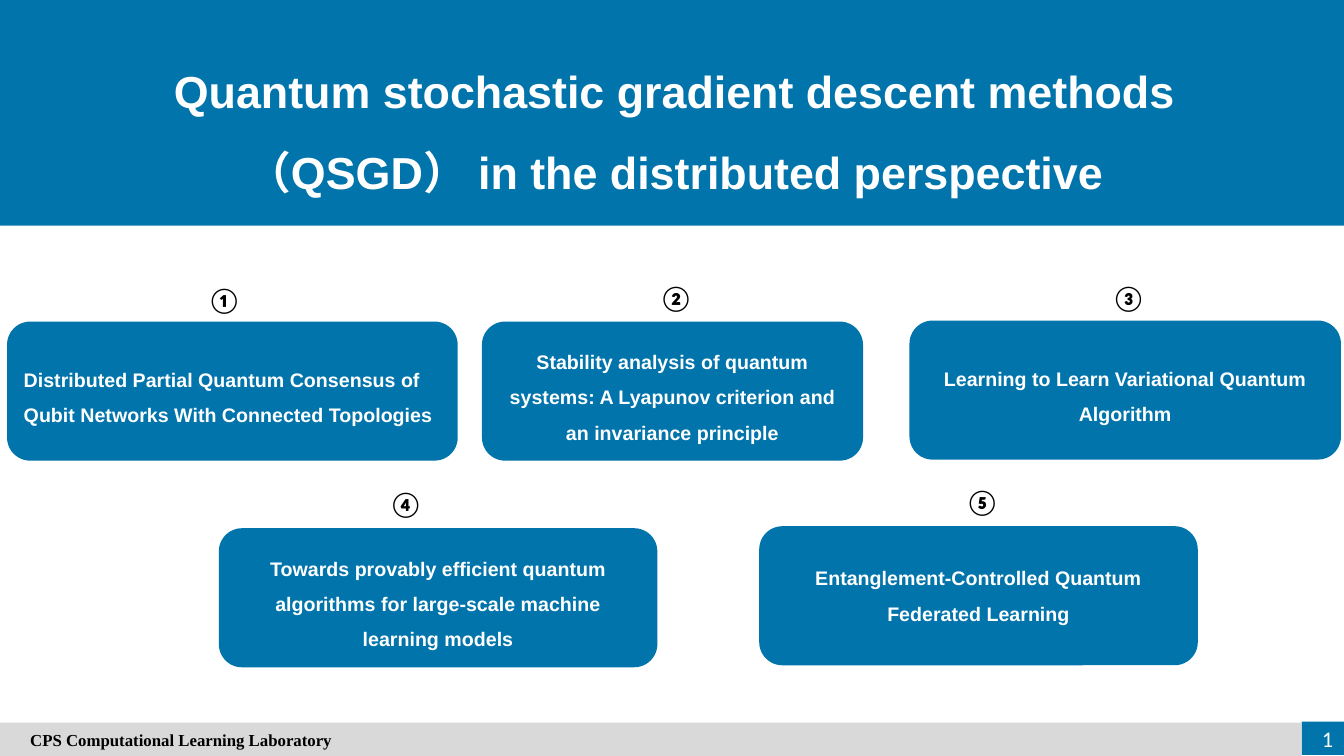
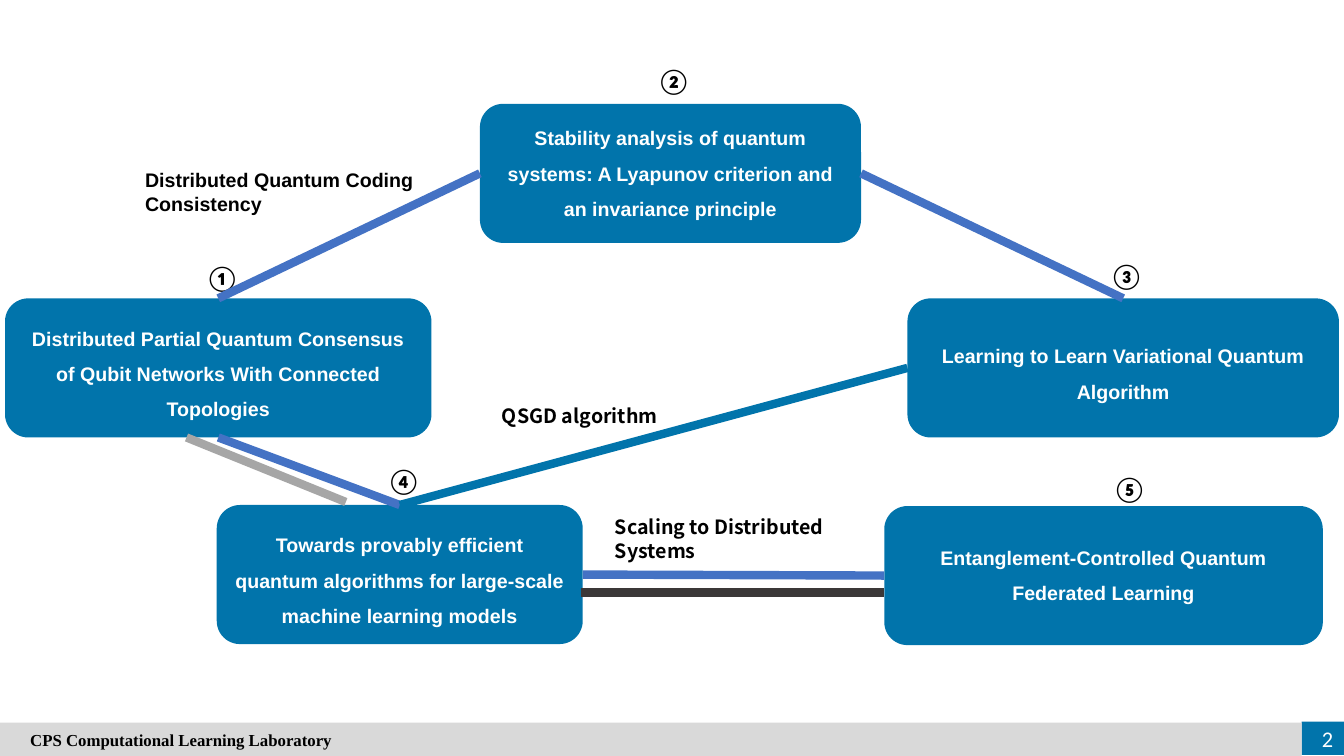
from dataclasses import dataclass

from lxml import etree
from pptx import Presentation
from pptx.dml.color import RGBColor
from pptx.enum.shapes import MSO_CONNECTOR, MSO_SHAPE
from pptx.enum.text import MSO_ANCHOR, PP_ALIGN
from pptx.oxml.ns import qn
from pptx.util import Inches, Pt

RECT, ROUNDED = MSO_SHAPE.RECTANGLE, MSO_SHAPE.ROUNDED_RECTANGLE
STRAIGHT = MSO_CONNECTOR.STRAIGHT
LEFT, CENTER, RIGHT = PP_ALIGN.LEFT, PP_ALIGN.CENTER, PP_ALIGN.RIGHT
TOP, MIDDLE = MSO_ANCHOR.TOP, MSO_ANCHOR.MIDDLE
SITE_TOP, SITE_LEFT, SITE_BOTTOM, SITE_RIGHT = range(4)


@dataclass(frozen=True)
class Theme:
    brand: str = "0174AB"
    link: str = "4472C4"
    dark: str = "3B3838"
    grey: str = "A6A6A6"
    footer: str = "D9D9D9"
    ink: str = "000000"
    paper: str = "FFFFFF"
    sans: str = "Arial"
    digits: str = "Calibri"
    serif: str = "Times New Roman"
    asian: str = "Noto Sans CJK SC"
    title_size: int = 32
    marker_size: int = 18
    page_size: int = 16
    body_size: int = 14
    footer_size: int = 12
    link_width: int = 6
    spacing: float = 1.5


THEME = Theme()
PAGE_WIDTH, PAGE_HEIGHT = 13.33, 7.5
FOOTER_TOP, FOOTER_WIDTH = 7.17, 12.91
CARD_HEIGHT = 1.38
MARKERS = "①②③④⑤"
TITLE = "Quantum stochastic gradient descent methods（QSGD） in the distributed perspective"
LABORATORY = "CPS Computational Learning Laboratory"
PAPERS = [
    "Distributed Partial Quantum Consensus of Qubit Networks With Connected Topologies",
    "Stability analysis of quantum systems: A Lyapunov criterion and an invariance principle",
    "Learning to Learn Variational Quantum Algorithm",
    "Towards provably efficient quantum algorithms for large-scale machine learning models",
    "Entanglement-Controlled Quantum Federated Learning",
]

# Per paper: card left, top, width; marker left, top
OVERVIEW = [
    (0.07, 3.19, 4.47, 1.96, 2.77),
    (4.78, 3.19, 3.78, 6.44, 2.75),
    (9.02, 3.18, 4.28, 10.93, 2.75),
    (2.17, 5.24, 4.35, 3.76, 4.8),
    (7.53, 5.22, 4.35, 9.48, 4.78),
]
RELATIONS = [
    (0.05, 2.96, 4.23, 1.94, 2.55),
    (4.76, 1.03, 3.78, 6.42, 0.6),
    (9, 2.96, 4.28, 10.91, 2.53),
    (2.15, 5.01, 3.63, 3.74, 4.57),
    (8.77, 5.02, 4.35, 10.94, 4.65),
]
# Paper number and connection site at each end
LINKS = [
    (2, SITE_RIGHT, 3, SITE_TOP, THEME.link),
    (4, SITE_RIGHT, 5, SITE_LEFT, THEME.link),
    (2, SITE_LEFT, 1, SITE_TOP, THEME.link),
    (1, SITE_BOTTOM, 4, SITE_TOP, THEME.link),
    (4, SITE_TOP, 3, SITE_LEFT, THEME.brand),
]
PARALLELS = [
    (8.77, 5.88, 5.76, 5.88, THEME.dark),
    (3.43, 4.98, 1.85, 4.34, THEME.grey),
]
NOTES = [
    ((1.34, 1.62, 3.19, 0.57), ["Distributed Quantum Coding Consistency"], THEME.sans),
    ((4.88, 3.96, 2.58, 0.34), ["QSGD algorithm"], THEME.asian),
    ((6, 5.06, 2.58, 0.57), ["Scaling to Distributed", "Systems"], THEME.asian),
]


def write(box, lines, *, size=THEME.body_size, font=THEME.sans, color=THEME.ink,
          bold=True, align=LEFT, anchor=TOP, spacing=1.0, wrap=True):
    frame = box.text_frame
    frame.word_wrap = wrap
    frame.vertical_anchor = anchor
    for index, line in enumerate(lines):
        para = frame.add_paragraph() if index else frame.paragraphs[0]
        para.alignment = align
        para.line_spacing = spacing
        span = para.add_run()
        span.text = line
        span.font.size = Pt(size)
        span.font.name = font
        span.font.bold = bold
        span.font.color.rgb = RGBColor.from_string(color)
        asian = etree.SubElement(span.font._element, qn("a:ea"))
        asian.set("typeface", THEME.asian)


def add_text(page, area, lines, **text_format):
    box = page.shapes.add_textbox(*map(Inches, area))
    write(box, lines, **text_format)


def add_block(page, kind, area, color):
    block = page.shapes.add_shape(kind, *map(Inches, area))
    block.shadow.inherit = False
    block.fill.solid()
    block.fill.fore_color.rgb = RGBColor.from_string(color)
    block.line.fill.background()
    return block


def add_card(page, text, left, top, width, align=CENTER, raised=False):
    """Add a paper card; raised offsets the extra leading above its first line."""
    card = add_block(page, ROUNDED, (left, top, width, CARD_HEIGHT), THEME.brand)
    if raised:
        card.text_frame.margin_top = 0
        card.text_frame.margin_bottom = Inches(0.12)
    write(card, [text], color=THEME.paper, align=align, anchor=MIDDLE, spacing=THEME.spacing)
    return card


def add_papers(page, layout, left_aligned=(), raised=()):
    """Add the numbered cards and return them by paper number."""
    cards = {}
    for number, (text, place) in enumerate(zip(PAPERS, layout), 1):
        align = LEFT if number in left_aligned else CENTER
        cards[number] = add_card(page, text, *place[:3], align, number in raised)
    for marker, place in zip(MARKERS, layout):
        add_text(page, (*place[3:], 0.45, 0.4), [marker], size=THEME.marker_size,
                 font=THEME.digits, wrap=False)
    return cards


def add_line(page, ends, color):
    line = page.shapes.add_connector(STRAIGHT, *map(Inches, ends))
    line.line.color.rgb = RGBColor.from_string(color)
    line.line.width = Pt(THEME.link_width)
    etree.SubElement(line._element.spPr, qn("a:effectLst"))
    return line


def link_cards(page, cards, start, start_site, end, end_site, color):
    line = add_line(page, (0, 0, 0, 0), color)
    line.begin_connect(cards[start], start_site)
    line.end_connect(cards[end], end_site)


def add_footer(page, number):
    height = PAGE_HEIGHT - FOOTER_TOP
    add_block(page, RECT, (FOOTER_WIDTH, 7.16, PAGE_WIDTH - FOOTER_WIDTH, height), THEME.brand)
    band = add_block(page, RECT, (0, FOOTER_TOP, FOOTER_WIDTH, height), THEME.footer)
    band.text_frame.margin_left = Inches(0.3)
    write(band, [LABORATORY], size=THEME.footer_size, font=THEME.serif, anchor=MIDDLE)
    add_text(page, (12.69, 7.13, 0.63, 0.4), [str(number)], size=THEME.page_size,
             font=THEME.digits, color=THEME.paper, bold=False, align=RIGHT, anchor=MIDDLE)


def build_overview(page):
    add_block(page, RECT, (0, 0, PAGE_WIDTH, 2.24), THEME.brand)
    add_text(page, (0.58, 0.32, 12.23, 1.62), [TITLE], size=THEME.title_size,
             color=THEME.paper, align=CENTER, spacing=THEME.spacing)
    add_papers(page, OVERVIEW, left_aligned={1}, raised={5})


def build_relations(page):
    cards = add_papers(page, RELATIONS, raised={2, 5})
    for link in LINKS:
        link_cards(page, cards, *link)
    for *ends, color in PARALLELS:
        add_line(page, ends, color)
    for area, lines, font in NOTES:
        add_text(page, area, lines, font=font)


def main():
    deck = Presentation()
    deck.slide_width, deck.slide_height = Inches(PAGE_WIDTH), Inches(PAGE_HEIGHT)
    for number, build in enumerate((build_overview, build_relations), 1):
        page = deck.slides.add_slide(deck.slide_layouts[6])
        build(page)
        add_footer(page, number)
    deck.save("out.pptx")


if __name__ == "__main__":
    main()
